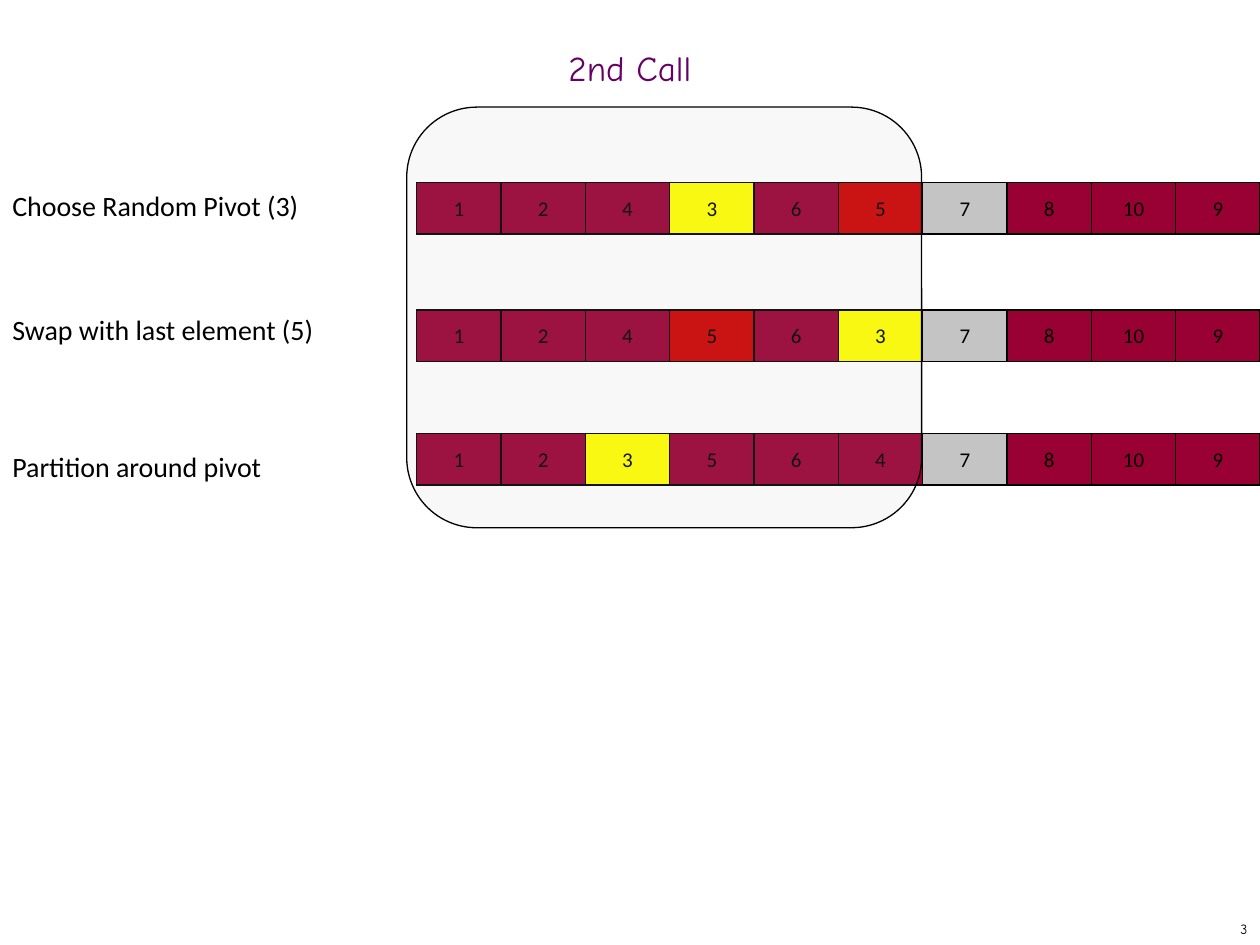
from lxml import etree
from pptx import Presentation
from pptx.dml.color import RGBColor
from pptx.enum.shapes import MSO_SHAPE
from pptx.enum.text import MSO_ANCHOR, PP_ALIGN
from pptx.oxml.ns import qn
from pptx.util import Cm, Pt

LEFT, CENTER, RIGHT = PP_ALIGN.LEFT, PP_ALIGN.CENTER, PP_ALIGN.RIGHT
TOP, MIDDLE = MSO_ANCHOR.TOP, MSO_ANCHOR.MIDDLE
ROUNDED = MSO_SHAPE.ROUNDED_RECTANGLE

BLACK = RGBColor(0x00, 0x00, 0x00)
PURPLE = RGBColor(0x66, 0x00, 0x66)
MAROON = RGBColor(0x99, 0x00, 0x33)
YELLOW = RGBColor(0xFF, 0xFF, 0x00)
RED = RGBColor(0xCC, 0x00, 0x00)
GREY = RGBColor(0xC4, 0xC4, 0xC4)
SILVER = RGBColor(0xC0, 0xC0, 0xC0)

BODY_FONT, TITLE_FONT = "Calibri", "Comic Neue"

# label, label top, array top, values, colours of the special values
STEPS = [
    ("Choose Random Pivot (3)", 3.68, 3.68,
     [1, 2, 4, 3, 6, 5, 7, 8, 10, 9], {3: YELLOW, 5: RED, 7: GREY}),
    ("Swap with last element (5)", 6.17, 6.25,
     [1, 2, 4, 5, 6, 3, 7, 8, 10, 9], {3: YELLOW, 5: RED, 7: GREY}),
    ("Partition around pivot", 8.94, 8.74,
     [1, 2, 3, 5, 6, 4, 7, 8, 10, 9], {3: YELLOW, 7: GREY}),
]
ARRAY_LEFT, CELL_WIDTH, CELL_HEIGHT = 8.4, 1.7, 1.04


def write(para, text, size, font, color, align):
    para.alignment = align
    span = para.add_run()
    span.text = text
    span.font.size = Pt(size)
    span.font.name = font
    span.font.color.rgb = color


def add_text(page, place, text, size, font, color=BLACK, align=LEFT,
             anchor=TOP, wrap=True):
    box = page.shapes.add_textbox(*map(Cm, place))
    frame = box.text_frame
    frame.word_wrap = wrap
    frame.vertical_anchor = anchor
    write(frame.paragraphs[0], text, size, font, color, align)
    return frame.paragraphs[0]


def add_borders(cell):
    properties = cell._tc.get_or_add_tcPr()
    for side in ("a:lnL", "a:lnR", "a:lnT", "a:lnB"):
        line = etree.SubElement(properties, qn(side), w=str(Pt(1)))
        fill = etree.SubElement(line, qn("a:solidFill"))
        etree.SubElement(fill, qn("a:srgbClr"), val=str(BLACK))


def add_element(page, left, top, value, color):
    """Draw one array element as a table of a single cell."""
    table = page.shapes.add_table(
        1, 1, Cm(left), Cm(top), Cm(CELL_WIDTH), Cm(CELL_HEIGHT)).table
    table.first_row = table.horz_banding = False
    cell = table.cell(0, 0)
    cell.margin_left = cell.margin_right = cell.margin_top = Cm(0.03)
    cell.margin_bottom = 0
    cell.vertical_anchor = MIDDLE
    add_borders(cell)
    cell.fill.solid()
    cell.fill.fore_color.rgb = color
    write(cell.text_frame.paragraphs[0], str(value), 12, BODY_FONT, BLACK, CENTER)


def add_call_range(page):
    """Lay a translucent frame over the elements sorted in this call."""
    shape = page.shapes.add_shape(ROUNDED, Cm(8.2), Cm(2.16), Cm(10.38), Cm(8.48))
    shape.shadow.inherit = False
    shape.fill.solid()
    shape.fill.fore_color.rgb = SILVER
    color = shape.fill._xPr.find(qn("a:solidFill"))[0]
    etree.SubElement(color, qn("a:alpha"), val="10000")
    shape.line.color.rgb = BLACK
    shape.line.width = Pt(0.75)


def main():
    deck = Presentation()
    deck.slide_width, deck.slide_height = Cm(25.4), Cm(19.05)
    page = deck.slides.add_slide(deck.slide_layouts[6])

    add_text(page, (20.12, 18.42, 5.28, 0.63), "3", 8, TITLE_FONT,
             align=RIGHT, anchor=MIDDLE, wrap=False)
    title = add_text(page, (0, 0.84, 25.4, 1.27), "2nd Call", 20, TITLE_FONT,
                     PURPLE, CENTER, MIDDLE)
    title.line_spacing = 0.7

    for label, label_top, *_ in STEPS:
        add_text(page, (0, label_top, 6.65, 0.94), label, 16, BODY_FONT)
    for _, _, top, values, special in STEPS:
        for index, value in enumerate(values):
            add_element(page, ARRAY_LEFT + index * CELL_WIDTH, top, value,
                        special.get(value, MAROON))
    add_call_range(page)
    deck.save("out.pptx")


if __name__ == "__main__":
    main()
